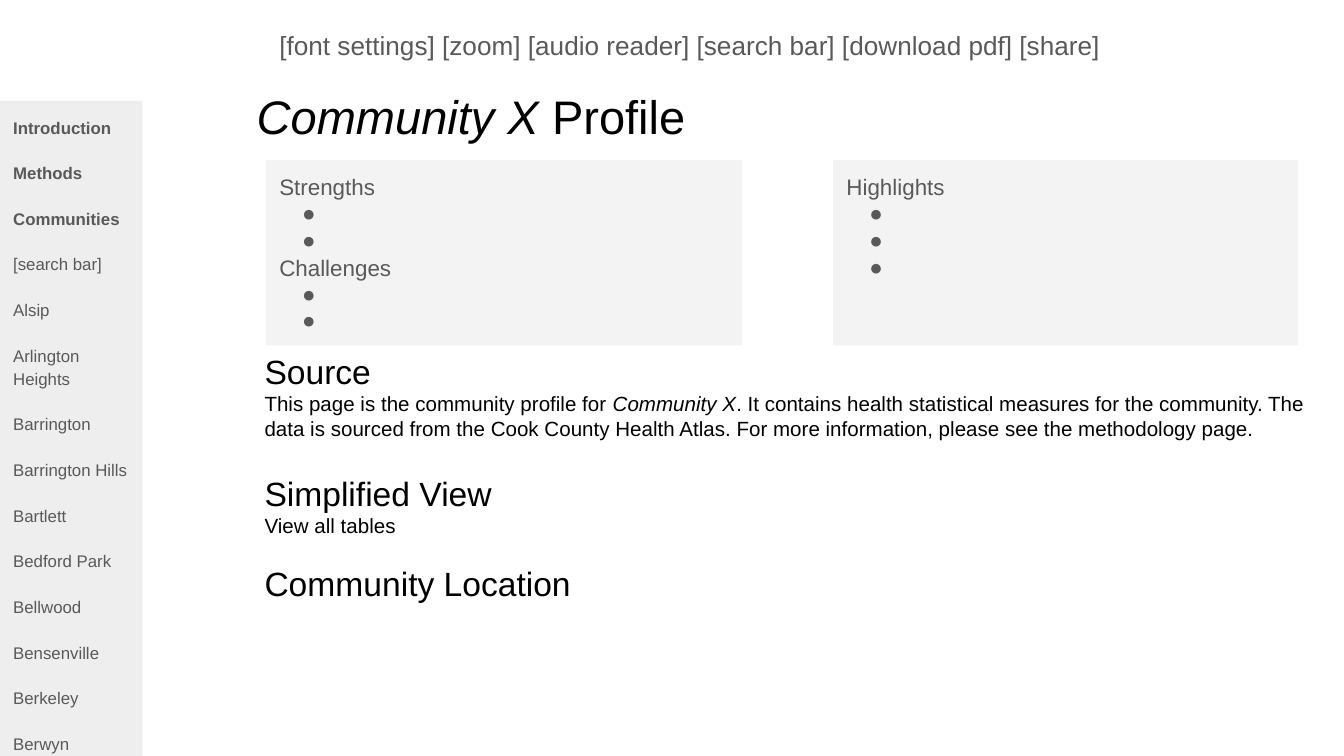
from lxml import etree
from pptx import Presentation
from pptx.dml.color import RGBColor
from pptx.enum.shapes import MSO_SHAPE
from pptx.enum.text import MSO_ANCHOR, MSO_AUTO_SIZE, PP_ALIGN
from pptx.oxml.ns import qn
from pptx.util import Inches, Pt

RECTANGLE = MSO_SHAPE.RECTANGLE
TOP, LEFT, NO_FIT = MSO_ANCHOR.TOP, PP_ALIGN.LEFT, MSO_AUTO_SIZE.NONE

FONT = "Arial"
COLORS = {"ink": "000000", "muted": "595959", "panel": "F3F3F3", "sidebar": "EEEEEE"}
SLIDE_W = 10
SLIDE_H = SLIDE_W * 9 / 16

# A run is (text, style), where style is "", "b" or "i".
TITLE = [("Community X ", "i"), ("Profile", "")]
TOOLBAR = "[font settings] [zoom] [audio reader] [search bar] [download pdf] [share]"

MENU_HEADINGS = ["Introduction", "Methods", "Communities"]
MENU_ITEMS = [
    "[search bar]", "Alsip", "Arlington Heights", "Barrington", "Barrington Hills",
    "Bartlett", "Bedford Park", "Bellwood", "Bensenville", "Berkeley", "Berwyn",
]

# (left, width, [(heading, number of empty bullets)])
PANELS = [
    (1.98, 3.54, [("Strengths", 2), ("Challenges", 2)]),
    (6.2, 3.46, [("Highlights", 3)]),
]

# (top, width, height, heading, body runs)
SECTIONS = [
    (2.51, 7.96, 0.87, "Source", [
        ("This page is the community profile for ", ""),
        ("Community X", "i"),
        (". It contains health statistical measures for the community. "
         "The data is sourced from the Cook County Health Atlas. "
         "For more information, please see the methodology page.", ""),
    ]),
    (3.42, 7.96, 0.63, "Simplified View", [("View all tables", "")]),
    (4.09, 2.86, 0.37, "Community Location", []),
]


def rgb(name):
    return RGBColor.from_string(COLORS[name])


def prepare_frame(shape):
    frame = shape.text_frame
    frame.word_wrap = True
    frame.auto_size = NO_FIT
    frame.vertical_anchor = TOP
    frame.margin_left = frame.margin_right = Inches(0.1)
    frame.margin_top = frame.margin_bottom = Inches(0.1)
    return frame


def add_paragraph(frame, runs, size, color):
    """Fill the frame's first paragraph if it is still empty, else append one."""
    first = frame.paragraphs[0]
    paragraph = frame.add_paragraph() if first.runs else first
    paragraph.alignment = LEFT
    for text, style in runs:
        run = paragraph.add_run()
        run.text = text
        run.font.name = FONT
        run.font.size = Pt(size)
        run.font.bold = style == "b"
        run.font.italic = style == "i"
        run.font.color.rgb = rgb(color)
    return paragraph


def add_bullet(paragraph, color):
    properties = paragraph._p.get_or_add_pPr()
    properties.set("marL", str(Inches(0.5)))
    properties.set("indent", str(Inches(-0.33)))
    bullet_color = etree.SubElement(properties, qn("a:buClr"))
    etree.SubElement(bullet_color, qn("a:srgbClr"), val=COLORS[color])
    etree.SubElement(properties, qn("a:buFont"), typeface=FONT)
    etree.SubElement(properties, qn("a:buChar"), char="●")


def add_text_area(slide, left, top, width, height):
    box = slide.shapes.add_textbox(*map(Inches, (left, top, width, height)))
    return prepare_frame(box)


def add_filled_area(slide, left, top, width, height, fill):
    area = slide.shapes.add_shape(RECTANGLE, *map(Inches, (left, top, width, height)))
    area.shadow.inherit = False
    area.fill.solid()
    area.fill.fore_color.rgb = rgb(fill)
    area.line.fill.background()
    return prepare_frame(area)


def add_title(slide):
    title = slide.shapes.title
    title.left, title.top, title.width, title.height = map(Inches, (1.81, 0.55, 3.71, 0.63))
    add_paragraph(prepare_frame(title), TITLE, 25.2, "ink")


def add_sections(slide):
    for top, width, height, heading, body in SECTIONS:
        frame = add_text_area(slide, 1.87, top, width, height)
        add_paragraph(frame, [(heading, "")], 18, "ink")
        if body:
            add_paragraph(frame, body, 11, "ink")


def add_panels(slide):
    for left, width, groups in PANELS:
        frame = add_filled_area(slide, left, 1.19, width, 1.38, "panel")
        for heading, bullet_count in groups:
            add_paragraph(frame, [(heading, "")], 12, "muted")
            for _ in range(bullet_count):
                # A single space keeps the bullet of an empty item visible.
                add_bullet(add_paragraph(frame, [(" ", "")], 12, "muted"), "muted")


def add_sidebar(slide):
    top = 0.75
    frame = add_filled_area(slide, 0, top, 1.06, SLIDE_H - top, "sidebar")
    entries = [(text, "b") for text in MENU_HEADINGS] + [(text, "") for text in MENU_ITEMS]
    for index, entry in enumerate(entries):
        paragraph = add_paragraph(frame, [entry], 9, "muted")
        paragraph.line_spacing = 1.15
        paragraph.space_before = Pt(12 if index else 0)


def main():
    deck = Presentation()
    deck.slide_width, deck.slide_height = Inches(SLIDE_W), Inches(SLIDE_H)
    slide = deck.slides.add_slide(deck.slide_layouts.get_by_name("Title Only"))
    add_title(slide)
    add_sections(slide)
    toolbar = add_text_area(slide, 1.98, 0.12, 7.38, 0.34)
    add_paragraph(toolbar, [(TOOLBAR, "")], 14, "muted")
    add_panels(slide)
    add_sidebar(slide)
    deck.save("out.pptx")


if __name__ == "__main__":
    main()
